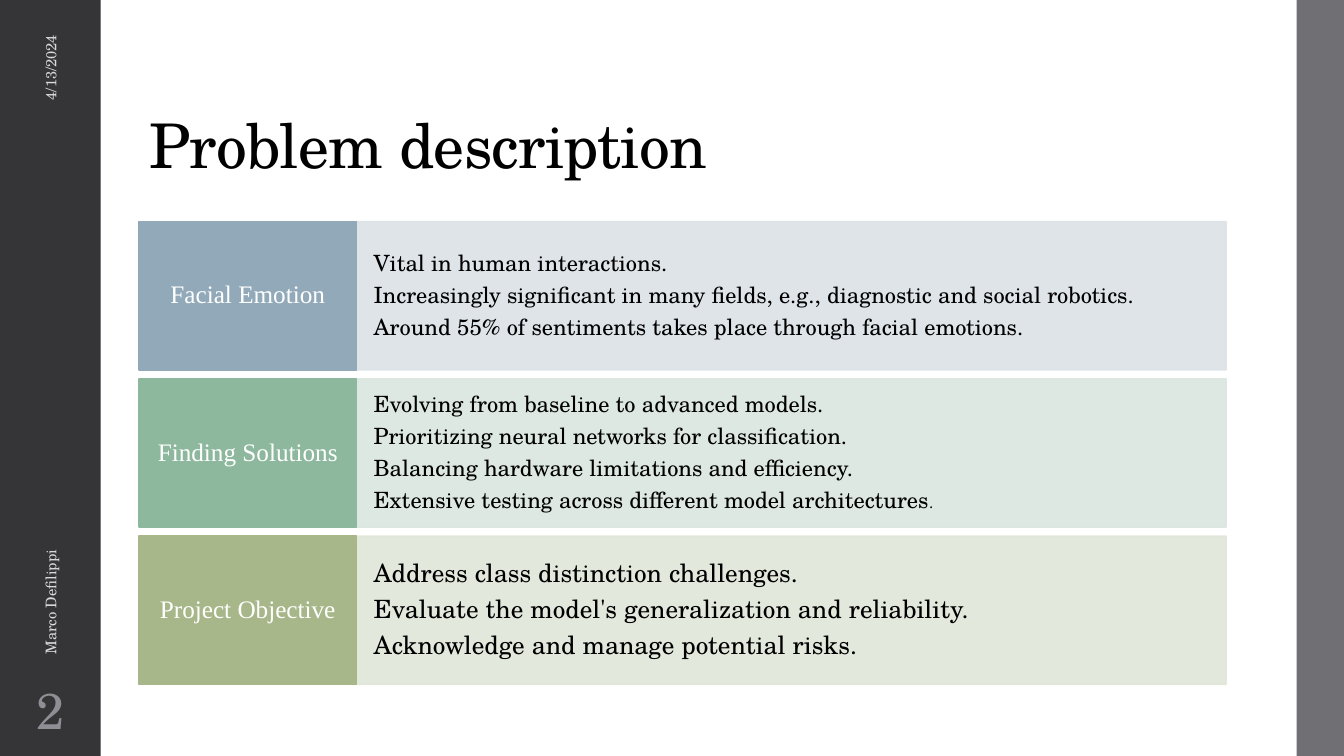
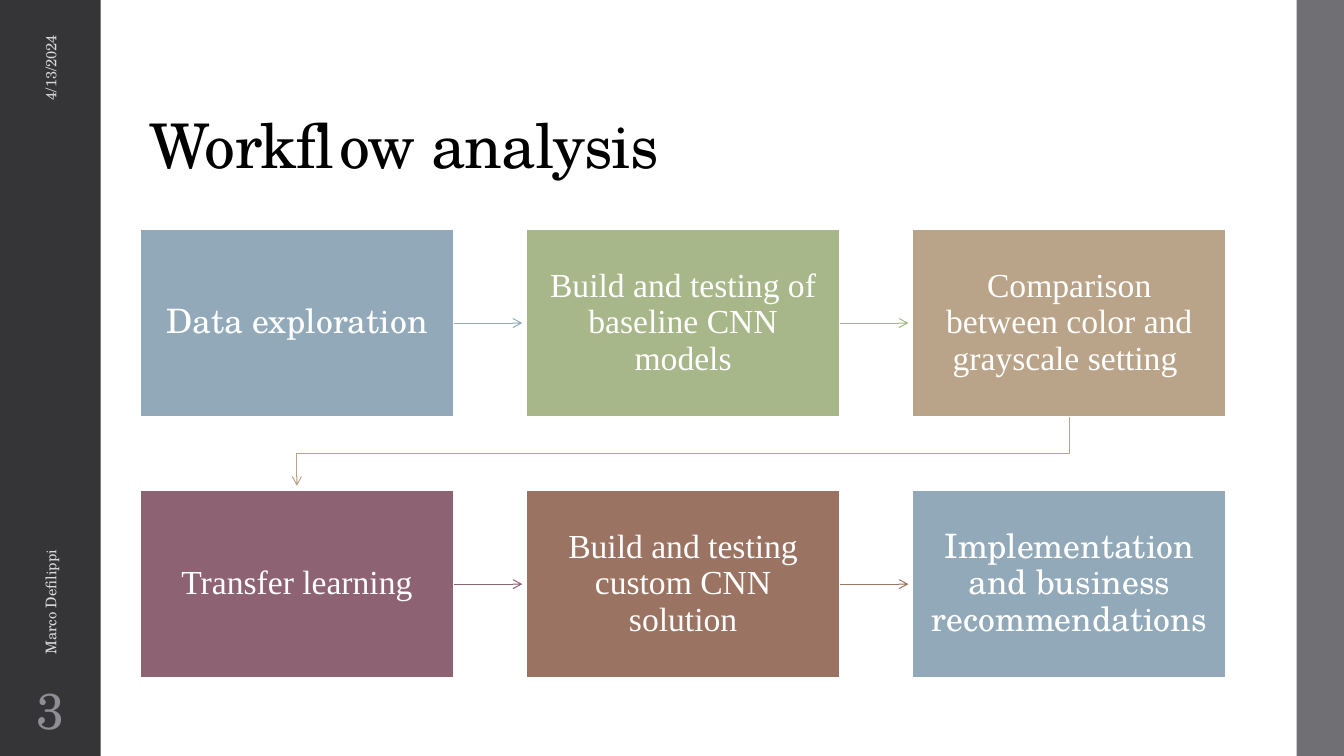
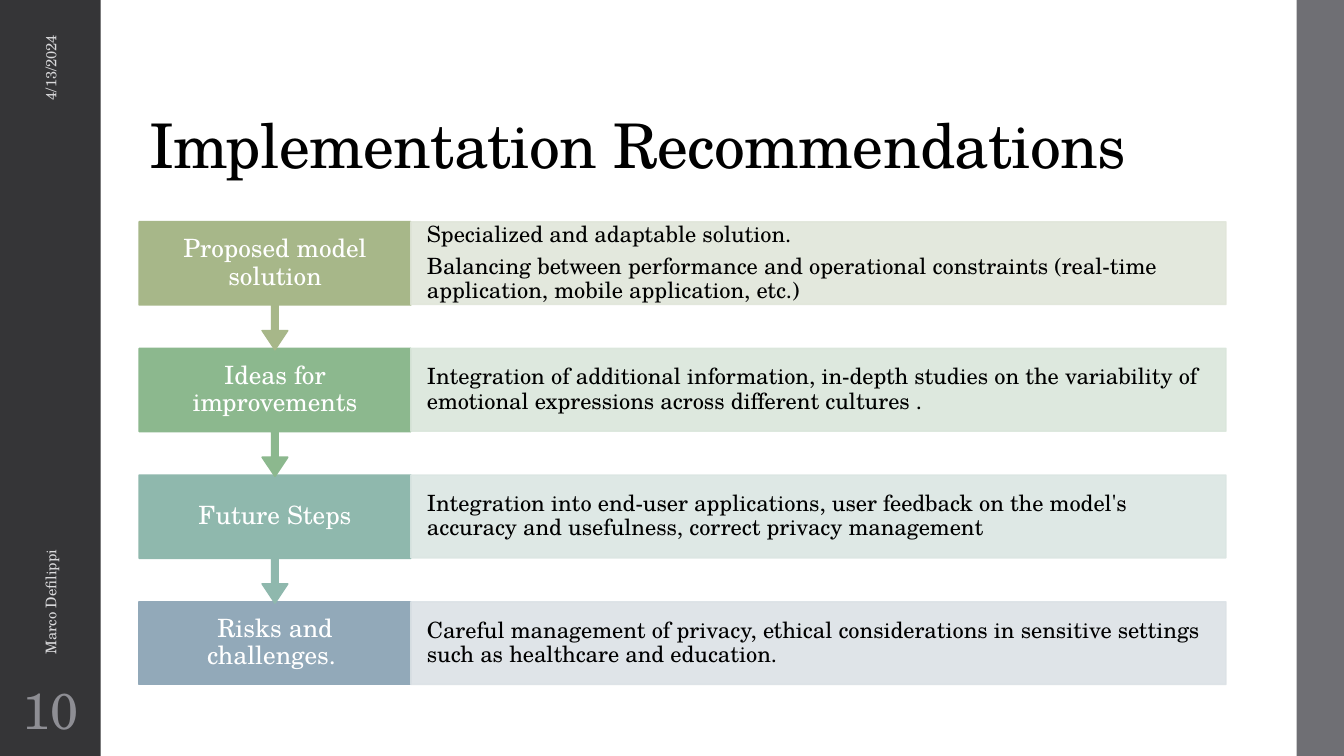
from lxml.etree import SubElement
from pptx import Presentation
from pptx.dml.color import RGBColor
from pptx.enum.shapes import MSO_CONNECTOR as CONNECTOR, MSO_SHAPE as SHAPE
from pptx.enum.text import MSO_ANCHOR as ANCHOR, MSO_AUTO_SIZE as AUTO_SIZE, PP_ALIGN as ALIGN
from pptx.oxml.ns import qn
from pptx.util import Inches, Pt

SERIF, ROMAN = "TeX Gyre Schola", "Times New Roman"
WHITE, BLACK, DARK, GRAY = "FFFFFF", "000000", "353537", "6F6F74"
SIDE_TEXT, NUMBER_TEXT = "D9D9DB", "8E8E94"
BLUE, OLIVE, TAN, PLUM, BROWN = "92A9B9", "A7B789", "B9A489", "8D6374", "9B7362"
MINT, GREEN, TEAL = "8EB89E", "8CB88E", "8FB8AD"
PALE = {BLUE: "DCE2E6", OLIVE: "E1E6DA", MINT: "DBE6DF", GREEN: "DAE6DB", TEAL: "DBE6E3"}

SLIDE_WIDTH, SLIDE_HEIGHT = 13.33, 7.5
LEFT, TOP, WIDTH, HEIGHT = 1.38, 2.2, 10.78, 4.59  # content area
hex_color = RGBColor.from_string


def paint(shape, fill, line=None, line_width=1.1, opacity=100):
    shape.shadow.inherit = False
    shape.fill.solid()
    shape.fill.fore_color.rgb = hex_color(fill)
    if line:
        shape.line.color.rgb = hex_color(line)
        shape.line.width = Pt(line_width)
    else:
        shape.line.fill.background()
    if opacity < 100:
        for color in shape._element.spPr.iter(qn("a:srgbClr")):
            SubElement(color, qn("a:alpha"), val=str(opacity * 1000))


def write(shape, lines, size, color, font=SERIF, align=ALIGN.LEFT, anchor=ANCHOR.MIDDLE,
          inset=(0.1, 0.05), spacing=0.9, after=0.35):
    """Fill the shape with one paragraph per line; after is a share of the text size."""
    frame = shape.text_frame
    frame_format = {"word_wrap": True, "auto_size": AUTO_SIZE.NONE, "vertical_anchor": anchor,
                    "margin_left": Inches(inset[0]), "margin_right": Inches(inset[0]),
                    "margin_top": Inches(inset[1]), "margin_bottom": Inches(inset[1])}
    for name, value in frame_format.items():
        setattr(frame, name, value)
    frame.text = "\n".join(lines)
    paragraph_format = {"alignment": align, "line_spacing": spacing,
                        "space_before": Pt(0), "space_after": Pt(size * after)}
    for paragraph in frame.paragraphs:
        for name, value in paragraph_format.items():
            setattr(paragraph, name, value)
        for run in paragraph.runs:
            run.font.name, run.font.size = font, Pt(size)
            run.font.color.rgb = hex_color(color)


presentation = Presentation()
presentation.slide_width = Inches(SLIDE_WIDTH)
presentation.slide_height = Inches(SLIDE_HEIGHT)

# Title, bands and side texts shared by all slides
slides = []
for title_text, number in [("Problem description", "2"), ("Workflow analysis", "3"),
                           ("Implementation Recommendations", "10")]:
    slide = presentation.slides.add_slide(presentation.slide_layouts[5])
    slides.append(slide)
    title = slide.shapes.title
    title.left, title.top, title.width, title.height = map(Inches, (LEFT, 0.4, WIDTH, 1.45))
    write(title, [title_text], 44, BLACK, anchor=ANCHOR.BOTTOM, after=0)
    title.text_frame.paragraphs[0].runs[0].font._element.set("spc", "-50")

    for left, width, color in [(0, 1, DARK), (12.86, SLIDE_WIDTH - 12.86, GRAY)]:
        band = slide.shapes.add_shape(SHAPE.RECTANGLE, Inches(left), 0,
                                      Inches(width), Inches(SLIDE_HEIGHT))
        paint(band, color)

    for text, left, top, width, align in [("4/13/2024", -0.54, 1.09, 2.08, ALIGN.RIGHT),
                                          ("Marco Defilippi", -1.46, 4.43, 3.92, ALIGN.LEFT)]:
        side_text = slide.shapes.add_textbox(*map(Inches, (left, top, width, 0.4)))
        side_text.rotation = 270
        write(side_text, [text], 10.5, SIDE_TEXT, align=align, spacing=1, after=0.57)

    slide_number = slide.shapes.add_textbox(*map(Inches, (0, 6.75, 1, 0.65)))
    write(slide_number, [number], 36, NUMBER_TEXT, align=ALIGN.CENTER,
          inset=(0.05, 0.05), after=0.17)

problem_slide, workflow_slide, recommendation_slide = slides

# Problem description: three labelled rows
problem_rows = [
    ("Facial Emotion", BLUE, 16, [
        "Vital in human interactions.",
        "Increasingly significant in many fields, e.g., diagnostic and social robotics.",
        "Around 55% of sentiments takes place through facial emotions."]),
    ("Finding Solutions", MINT, 16, [
        "Evolving from baseline to advanced models.",
        "Prioritizing neural networks for classification.",
        "Balancing hardware limitations and efficiency.",
        "Extensive testing across different model architectures."]),
    ("Project Objective", OLIVE, 18, [
        "Address class distinction challenges.",
        "Evaluate the model's generalization and reliability.",
        "Acknowledge and manage potential risks."]),
]
label_width, row_height = 0.2 * WIDTH, 1.47
row_pitch = (HEIGHT - row_height) / (len(problem_rows) - 1)
for row, (label_text, color, size, lines) in enumerate(problem_rows):
    top = TOP + row * row_pitch
    detail = problem_slide.shapes.add_shape(SHAPE.RECTANGLE, *map(
        Inches, (LEFT + label_width, top, WIDTH - label_width, row_height)))
    paint(detail, PALE[color], PALE[color], opacity=90)
    write(detail, lines, size, BLACK, inset=(0.17, 0))
    label = problem_slide.shapes.add_shape(SHAPE.RECTANGLE, *map(
        Inches, (LEFT, top, label_width, row_height)))
    paint(label, color, color)
    write(label, [label_text], 18, WHITE, ROMAN, ALIGN.CENTER, inset=(0.11, 0.15))

    # The full stop after "architectures" is smaller
    if lines[-1].endswith("architectures."):
        paragraph = detail.text_frame.paragraphs[-1]
        paragraph.runs[0].text = lines[-1][:-1]
        full_stop = paragraph.add_run()
        full_stop.text = "."
        full_stop.font.name, full_stop.font.size = SERIF, Pt(11)
        full_stop.font.color.rgb = hex_color(BLACK)

# Workflow analysis: six steps in a grid of three columns and two rows
steps = [
    ("Data exploration", BLUE, SERIF),
    ("Build and testing of baseline CNN models", OLIVE, ROMAN),
    ("Comparison between color and grayscale setting ", TAN, ROMAN),
    ("Transfer learning", PLUM, ROMAN),
    ("Build and testing custom CNN solution", BROWN, ROMAN),
    ("Implementation and business recommendations", BLUE, SERIF),
]
COLUMNS = 3
grid_left, grid_top, step_width, step_height = 1.39, 2.27, 3.11, 1.87
column_pitch, step_pitch, arrow_gap = 3.83, 2.59, 0.04
for index, (text, color, font) in enumerate(steps):
    row, column = divmod(index, COLUMNS)
    left, top = grid_left + column * column_pitch, grid_top + row * step_pitch
    right, bottom = left + step_width, top + step_height
    step = workflow_slide.shapes.add_shape(SHAPE.RECTANGLE, *map(
        Inches, (left, top, step_width, step_height)))
    paint(step, color, WHITE, 1.35)
    write(step, [text], 24, WHITE, font, ALIGN.CENTER, inset=(0.15, 0.16))
    if index == len(steps) - 1:
        break

    if column < COLUMNS - 1:
        middle = top + step_height / 2
        arrow = workflow_slide.shapes.add_connector(CONNECTOR.STRAIGHT, *map(
            Inches, (right, middle, left + column_pitch - arrow_gap, middle)))
    else:
        start, end = left + step_width / 2, grid_left + step_width / 2
        next_top = top + step_pitch
        bend = (bottom + next_top) / 2
        outline = workflow_slide.shapes.build_freeform(Inches(start), Inches(bottom))
        outline.add_line_segments([(Inches(x), Inches(y)) for x, y in [
            (start, bend), (end, bend), (end, next_top - arrow_gap)]], close=False)
        arrow = outline.convert_to_shape()
        arrow.fill.background()
    arrow.line.color.rgb = hex_color(color)
    arrow.line.width = Pt(0.75)
    SubElement(arrow.line._get_or_add_ln(), qn("a:tailEnd"), type="arrow")
    SubElement(arrow._element.spPr, qn("a:effectLst"))

# Implementation recommendations: four rows, each label pointing to the next
recommendations = [
    ("Proposed model solution", OLIVE, [
        "Specialized and adaptable solution.",
        "Balancing between performance and operational constraints "
        "(real-time application, mobile application, etc.)"]),
    ("Ideas for improvements", GREEN, [
        "Integration of additional information, in-depth studies on the variability of "
        "emotional expressions across different cultures ."]),
    ("Future Steps", TEAL, [
        "Integration into end-user applications, user feedback on the model's accuracy "
        "and usefulness, correct privacy management"]),
    ("Risks and challenges. ", BLUE, [
        "Careful management of privacy, ethical considerations in sensitive settings "
        "such as healthcare and education."]),
]
label_width, row_height, callout_height = 0.25 * WIDTH, 0.82, 1.27
row_pitch = (HEIGHT - row_height) / (len(recommendations) - 1)
for row, (label_text, color, lines) in reversed(list(enumerate(recommendations))):
    top = TOP + row * row_pitch
    is_last = row == len(recommendations) - 1
    kind = SHAPE.RECTANGLE if is_last else SHAPE.DOWN_ARROW_CALLOUT
    label = recommendation_slide.shapes.add_shape(kind, *map(
        Inches, (LEFT, top, label_width, row_height if is_last else callout_height)))
    if not is_last:
        for position, share in enumerate([0.05, 0.1, 0.15, 0.65]):
            label.adjustments[position] = share
    paint(label, color, color)
    write(label, [label_text], 18, WHITE, align=ALIGN.CENTER, inset=(0.19, 0))
    detail = recommendation_slide.shapes.add_shape(SHAPE.RECTANGLE, *map(
        Inches, (LEFT + label_width, top, WIDTH - label_width, row_height)))
    paint(detail, PALE[color], PALE[color], opacity=90)
    write(detail, lines, 16, BLACK, inset=(0.16, 0))

presentation.save("out.pptx")
